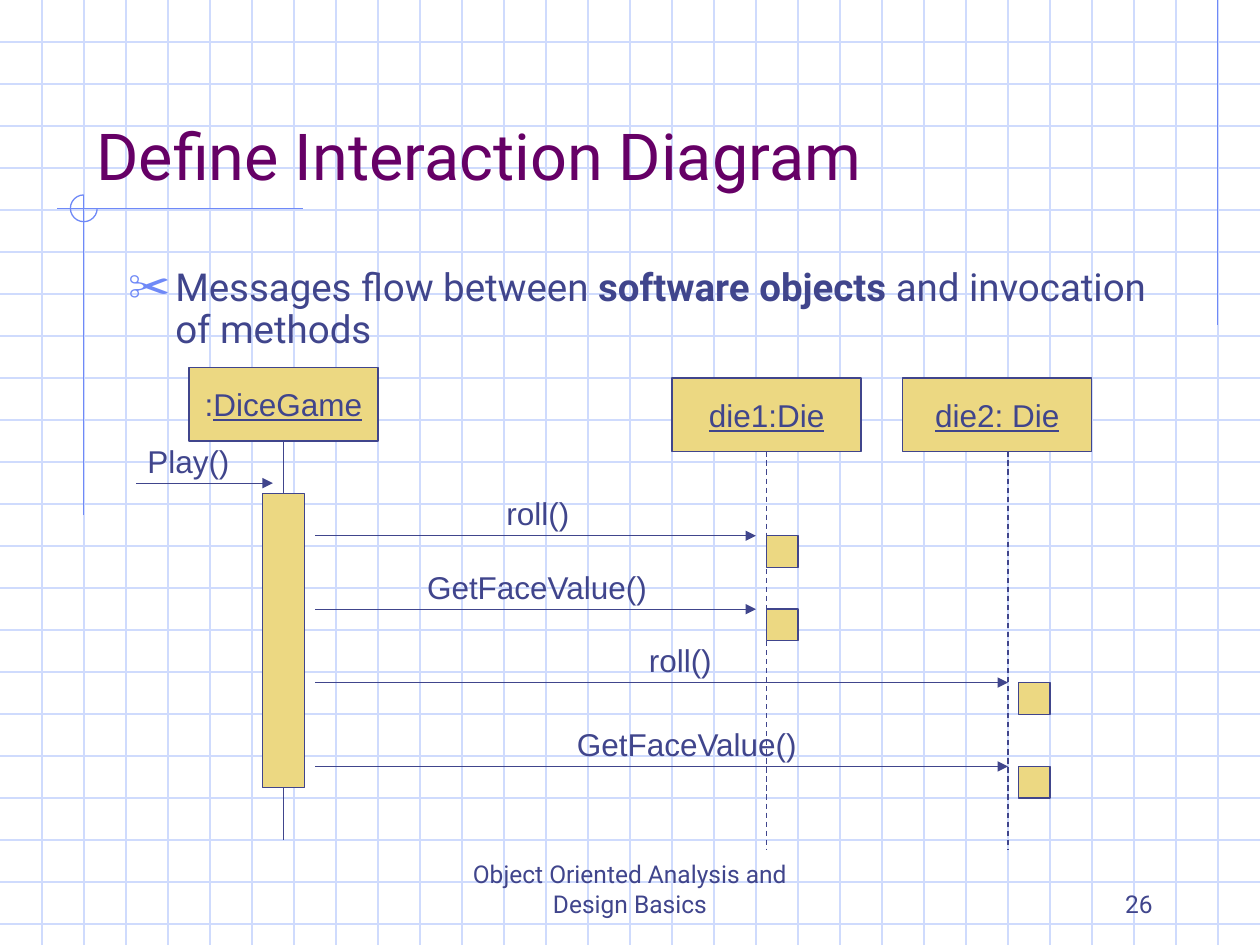
"""Build the slide "Define Interaction Diagram" with its dice game sequence diagram."""
from lxml.etree import SubElement
from pptx import Presentation
from pptx.dml.color import RGBColor
from pptx.enum.dml import MSO_LINE
from pptx.enum.shapes import MSO_CONNECTOR, MSO_SHAPE
from pptx.enum.text import MSO_ANCHOR, MSO_AUTO_SIZE, PP_ALIGN
from pptx.oxml.ns import qn
from pptx.util import Cm, Pt

COLORS = {"ink": "40458C", "title": "660066", "accent": "6F89F7", "grid": "CFDBFD", "box": "ECD882"}


def write(frame, text, size=18, font="Arial", color="ink", align=PP_ALIGN.LEFT,
          anchor=MSO_ANCHOR.TOP, wrap=True):
    frame.auto_size = MSO_AUTO_SIZE.NONE
    frame.word_wrap = wrap
    frame.vertical_anchor = anchor
    paragraph = frame.paragraphs[0]
    paragraph.alignment = align
    for words, style in [(text, {})] if isinstance(text, str) else text:
        run = paragraph.add_run()
        run.text = words
        run.font.size = Pt(size)
        run.font.name = font
        run.font.color.rgb = RGBColor.from_string(COLORS[color])
        run.font.bold = style.get("bold", False)
        run.font.underline = style.get("underline", False)
    return paragraph


def draw_line(x1, y1, x2, y2, color="ink", dashed=False, arrow=False):
    connector = slide.shapes.add_connector(MSO_CONNECTOR.STRAIGHT, Cm(x1), Cm(y1), Cm(x2), Cm(y2))
    connector.line.color.rgb = RGBColor.from_string(COLORS[color])
    connector.line.width = Pt(0.75)
    if dashed:
        connector.line.dash_style = MSO_LINE.DASH
    if arrow:
        SubElement(connector.line._get_or_add_ln(), qn("a:tailEnd"), type="triangle")
    SubElement(connector._element.spPr, qn("a:effectLst"))


WIDTH, HEIGHT = 25.4, 19.05
prs = Presentation()
prs.slide_width, prs.slide_height = Cm(WIDTH), Cm(HEIGHT)
slide = prs.slides.add_slide(prs.slide_layouts[1])

GRID_STEP = WIDTH / 30
for row in range(1, 23):
    draw_line(0, row * GRID_STEP, WIDTH, row * GRID_STEP, color="grid")
for column in range(1, 30):
    draw_line(column * GRID_STEP, 0, column * GRID_STEP, HEIGHT, color="grid")

for ends in [(24.55, 0, 24.55, 6.55), (6.1, 4.21, 1.14, 4.21), (1.69, 3.93, 1.69, 10.39)]:
    draw_line(*ends, color="accent")
ring = slide.shapes.add_shape(MSO_SHAPE.ARC, Cm(1.42), Cm(3.93), Cm(0.54), Cm(0.54))
ring.adjustments[0], ring.adjustments[1] = 0, 162
ring.shadow.inherit = False
ring.fill.background()
ring.line.color.rgb = RGBColor.from_string(COLORS["accent"])
ring.line.width = Pt(0.75)

footers = [
    ("Object Oriented Analysis and Design Basics", 8.68, 8.04, PP_ALIGN.CENTER),
    ("26", 18.2, 5.29, PP_ALIGN.RIGHT),
]
for words, left, width, align in footers:
    footer = slide.shapes.add_textbox(Cm(left), Cm(17.36), Cm(width), Cm(1.27))
    write(footer.text_frame, words, size=14, font="Roboto", align=align, anchor=MSO_ANCHOR.BOTTOM)

title, body = slide.shapes.title, slide.placeholders[1]
for holder, top, height in [(title, 0.85, 3.18), (body, 5.29, 2.7)]:
    holder.left, holder.top, holder.width, holder.height = Cm(1.69), Cm(top), Cm(21.59), Cm(height)
    slide.shapes.element.append(holder.element)
body.left = Cm(2.33)
write(title.text_frame, "Define Interaction Diagram", size=37, font="Roboto", color="title",
      anchor=MSO_ANCHOR.BOTTOM)
message_flow = [
    ("Messages flow between ", {}),
    ("software objects", {"bold": True}),
    (" and invocation of methods", {}),
]
bullet = write(body.text_frame, message_flow, size=22, font="Roboto")
bullet.line_spacing = 0.9
bullet.space_before = Pt(0)
bullet_format = bullet._p.get_or_add_pPr()
bullet_format.set("marL", str(Cm(0.95)))
bullet_format.set("indent", str(-Cm(0.95)))
bullet_color = SubElement(bullet_format, qn("a:buClr"))
SubElement(bullet_color, qn("a:srgbClr"), val=COLORS["accent"])
SubElement(bullet_format, qn("a:buSzPct"), val="110000")
SubElement(bullet_format, qn("a:buChar"), char="✂")

LIFELINE_LENGTH = 8.04
for x, top, dashed in [(5.72, 8.89, False), (15.45, 9.1, True), (20.32, 9.1, True)]:
    draw_line(x, top, x, top + LIFELINE_LENGTH, dashed=dashed)

underlined = {"underline": True}
messages = [
    ("roll()", 9.96, 10.8, 15.45),
    ("GetFaceValue()", 8.36, 12.28, 15.45),
    ("roll()", 12.83, 13.76, 20.53),
    ("GetFaceValue()", 11.38, 15.45, 20.53),
]
boxes = [
    ([(":", {}), ("DiceGame", underlined)], 3.81, 7.41, 3.81, 1.48),
    ([("die1:Die", underlined)], 13.55, 7.62, 3.81, 1.48),
    ([("die2: Die", underlined)], 18.2, 7.62, 3.81, 1.48),
    ([], 5.29, 9.95, 0.85, 5.93),
]
boxes += [([], activation, y, 0.64, 0.64) for _, _, y, activation in messages]
for caption, left, top, width, height in boxes:
    box = slide.shapes.add_shape(MSO_SHAPE.RECTANGLE, Cm(left), Cm(top), Cm(width), Cm(height))
    box.shadow.inherit = False
    box.fill.solid()
    box.fill.fore_color.rgb = RGBColor.from_string(COLORS["box"])
    box.line.color.rgb = RGBColor.from_string(COLORS["ink"])
    box.line.width = Pt(0.75)
    if caption:
        write(box.text_frame, caption, align=PP_ALIGN.CENTER, anchor=MSO_ANCHOR.MIDDLE, wrap=False)

draw_line(2.75, 9.74, 5.5, 9.74, arrow=True)
for _, _, y, activation in messages:
    draw_line(6.35, y, activation - 0.21, y, arrow=True)

LABEL_WIDTHS = {"Play()": 2.16, "roll()": 1.78, "GetFaceValue()": 4.98}
for call, left, y, _ in [("Play()", 2.72, 9.74, None)] + messages:
    label = slide.shapes.add_textbox(Cm(left), Cm(y - 0.96), Cm(LABEL_WIDTHS[call]), Cm(1.02))
    write(label.text_frame, call, wrap=False)

prs.save("out.pptx")
